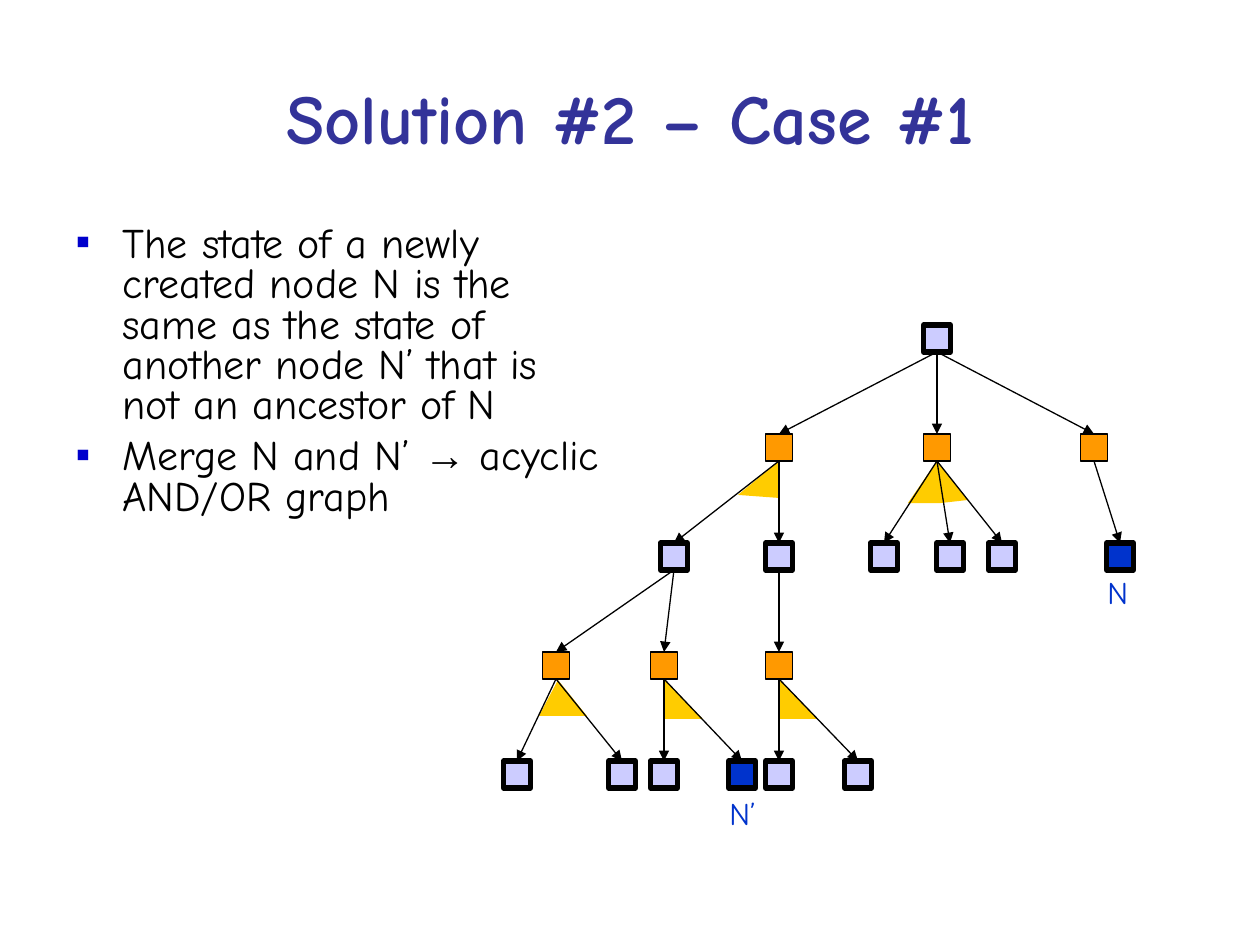
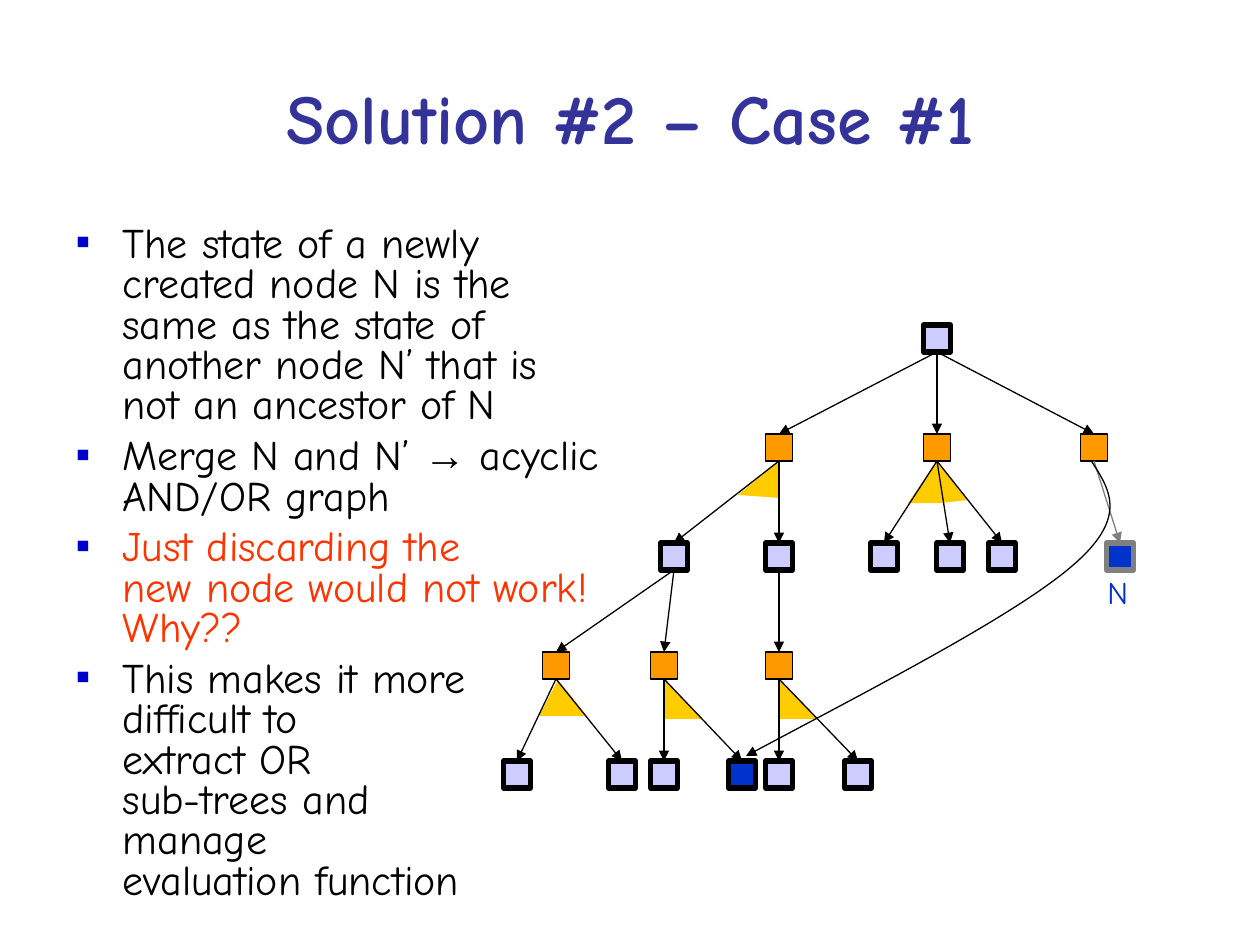
from lxml import etree
from pptx import Presentation
from pptx.dml.color import RGBColor
from pptx.enum.shapes import MSO_CONNECTOR, MSO_SHAPE
from pptx.enum.text import MSO_ANCHOR, MSO_AUTO_SIZE, PP_ALIGN
from pptx.oxml.ns import qn
from pptx.util import Emu, Pt

STRAIGHT, RECTANGLE = MSO_CONNECTOR.STRAIGHT, MSO_SHAPE.RECTANGLE
MIDDLE, CENTER, NO_AUTOFIT = MSO_ANCHOR.MIDDLE, PP_ALIGN.CENTER, MSO_AUTO_SIZE.NONE

TITLE_BLUE = RGBColor(0x33, 0x33, 0x99)
BULLET_BLUE = RGBColor(0x00, 0x00, 0xCC)
NODE_BLUE = RGBColor(0x00, 0x33, 0xCC)
LAVENDER = RGBColor(0xCC, 0xCC, 0xFF)
ORANGE = RGBColor(0xFF, 0x99, 0x00)
YELLOW = RGBColor(0xFF, 0xCC, 0x00)
RED = RGBColor(0xFF, 0x33, 0x00)
GRAY = RGBColor(0x80, 0x80, 0x80)
BLACK = RGBColor(0, 0, 0)
FONT = "Comic Neue"
SCALE = 914400 / 126  # EMU per px

# Tree: node centres per level, OR levels (even) alternate with AND levels (odd)
NODE = 27
LEVEL_TOPS = [325 + 109 * level for level in range(5)]
LEVELS = [
    [937],
    [779, 937, 1094],
    [674, 779, 884, 950, 1002, 1120],
    [556, 664, 779],
    [517, 622, 664, 742, 779, 858],
]
# Child positions of each node, level by level
CHILDREN = [
    [[0, 1, 2]],
    [[0, 1], [2, 3, 4], [5]],
    [[0, 1], [2], [], [], [], []],
    [[0, 1], [2, 3], [4, 5]],
]
NEW_NODE, SAME_STATE_NODE = (2, 5), (4, 3)
AND_WEDGES = [
    [(558, 680), (539, 716), (587, 716)],
    [(937, 461), (908, 503), (941, 503), (968, 500)],
    [(779, 461), (738, 495), (779, 498)],
] + [[(x, 679), (x, 719), (x + 39, 719)] for x in (664, 779)]
MERGE_CURVE = [(1092, 462), (1110, 490), (1129, 518), (1071, 567),
               (1013, 616), (879, 685), (746, 756)]

# Bullets: colour and text pieces
COMMON_BULLETS = [
    (BLACK, ["The state of a newly created node N is the same as the state of "
             "another node N’ that is not an ancestor of N"]),
    (BLACK, ["Merge N and N’ ", "→", " acyclic AND/OR graph"]),
]
MERGE_BULLETS = [
    (RED, ["Just discarding the\nnew node would not work! Why??"]),
    (BLACK, ["This makes it more difficult to\nextract OR\nsub-trees and\nmanage\n"
             "evaluation function"]),
]
NEW_LABEL = ("N", 1095, 567, 45)
SAME_STATE_LABEL = ("N’", 717, 788, 52)
CASES = [
    (COMMON_BULLETS, 315, BLACK, [NEW_LABEL, SAME_STATE_LABEL], False),
    (COMMON_BULLETS + MERGE_BULLETS, 725, GRAY, [NEW_LABEL], True),
]


def px(*lengths):
    return [Emu(round(length * SCALE)) for length in lengths]


def style_line(shape, color, width, arrow=False):
    shape.line.color.rgb = color
    shape.line.width = Pt(width)
    properties = shape._element.spPr
    if arrow:
        etree.SubElement(properties.find(qn("a:ln")), qn("a:tailEnd"), type="triangle")
    if properties.find(qn("a:effectLst")) is None:
        etree.SubElement(properties, qn("a:effectLst"))


prs = Presentation()
prs.slide_width, prs.slide_height = px(1260, 945)

for bullets, body_height, new_node_color, labels, merged in CASES:
    slide = prs.slides.add_slide(prs.slide_layouts[1])
    shapes = slide.shapes

    # Title
    title = shapes.title
    title.left, title.top, title.width, title.height = px(63, 38, 1134, 157)
    title.text_frame.vertical_anchor = MIDDLE
    heading = title.text_frame.paragraphs[0]
    heading.text = "Solution #2 – Case #1"
    heading.alignment = CENTER
    heading.font.name, heading.font.size, heading.font.bold = FONT, Pt(40), True
    heading.font.color.rgb = TITLE_BLUE

    # Bullet list
    body = slide.placeholders[1]
    body.left, body.top, body.width, body.height = px(63, 220, 557, body_height)
    body.text_frame.auto_size = NO_AUTOFIT
    for index, (color, pieces) in enumerate(bullets):
        item = body.text_frame.add_paragraph() if index else body.text_frame.paragraphs[0]
        item.text = pieces[0]
        item.line_spacing = 0.8
        item.space_before = Pt(6 if index else 0)
        properties = item._p.get_or_add_pPr()
        indent = px(47)[0]
        properties.set("marL", str(indent))
        properties.set("indent", str(-indent))
        bullet_color = etree.SubElement(properties, qn("a:buClr"))
        etree.SubElement(bullet_color, qn("a:srgbClr"), val=str(BULLET_BLUE))
        etree.SubElement(properties, qn("a:buFont"), typeface="Arial")
        etree.SubElement(properties, qn("a:buChar"), char="▪")
        item.font.name, item.font.size = FONT, Pt(24)
        item.font.color.rgb = color
        for piece in pieces[1:]:
            run = item.add_run()
            run.text = piece
            if piece == "→":
                run.font.name = "Arial"

    # Wedges that mark AND branches
    for corners in AND_WEDGES:
        outline = shapes.build_freeform(*corners[0], scale=SCALE)
        outline.add_line_segments(corners[1:], close=True)
        wedge = outline.convert_to_shape()
        wedge.shadow.inherit = False
        wedge.fill.solid()
        wedge.fill.fore_color.rgb = YELLOW
        wedge.line.fill.background()

    # Nodes
    for level, centers in enumerate(LEVELS):
        for position, center in enumerate(centers):
            node = shapes.add_shape(
                RECTANGLE, *px(center - NODE / 2, LEVEL_TOPS[level], NODE, NODE))
            is_and = level % 2 == 1
            is_new = (level, position) == NEW_NODE
            is_marked = is_new or (level, position) == SAME_STATE_NODE
            node.fill.solid()
            node.fill.fore_color.rgb = (
                NODE_BLUE if is_marked else ORANGE if is_and else LAVENDER)
            style_line(node, new_node_color if is_new else BLACK, 0.75 if is_and else 3)

    # Arrows from each node to its children
    for level, families in enumerate(CHILDREN):
        for parent, family in zip(LEVELS[level], families):
            for child in family:
                arrow = shapes.add_connector(
                    STRAIGHT, *px(parent, LEVEL_TOPS[level] + NODE,
                                  LEVELS[level + 1][child], LEVEL_TOPS[level + 1]))
                is_new = (level + 1, child) == NEW_NODE
                style_line(arrow, new_node_color if is_new else BLACK, 0.75, arrow=True)

    # Node labels
    for text, left, top, width in labels:
        label = shapes.add_textbox(*px(left, top, width, 50))
        label.text_frame.word_wrap = False
        name = label.text_frame.paragraphs[0]
        name.text = text
        name.font.name, name.font.size = FONT, Pt(18)
        name.font.color.rgb = NODE_BLUE

    # Curved arrow to the merged node: each three points become one Bézier piece
    if merged:
        outline = shapes.build_freeform(*MERGE_CURVE[0], scale=SCALE)
        outline.add_line_segments(MERGE_CURVE[1:], close=False)
        curve = outline.convert_to_shape()
        curve.fill.background()
        style_line(curve, BLACK, 0.75, arrow=True)
        segments = list(curve._element.iter(qn("a:lnTo")))
        track = segments[0].getparent()
        for start in range(0, len(segments), 3):
            bezier = etree.SubElement(track, qn("a:cubicBezTo"))
            for segment in segments[start:start + 3]:
                bezier.append(segment[0])
                track.remove(segment)

prs.save("out.pptx")
